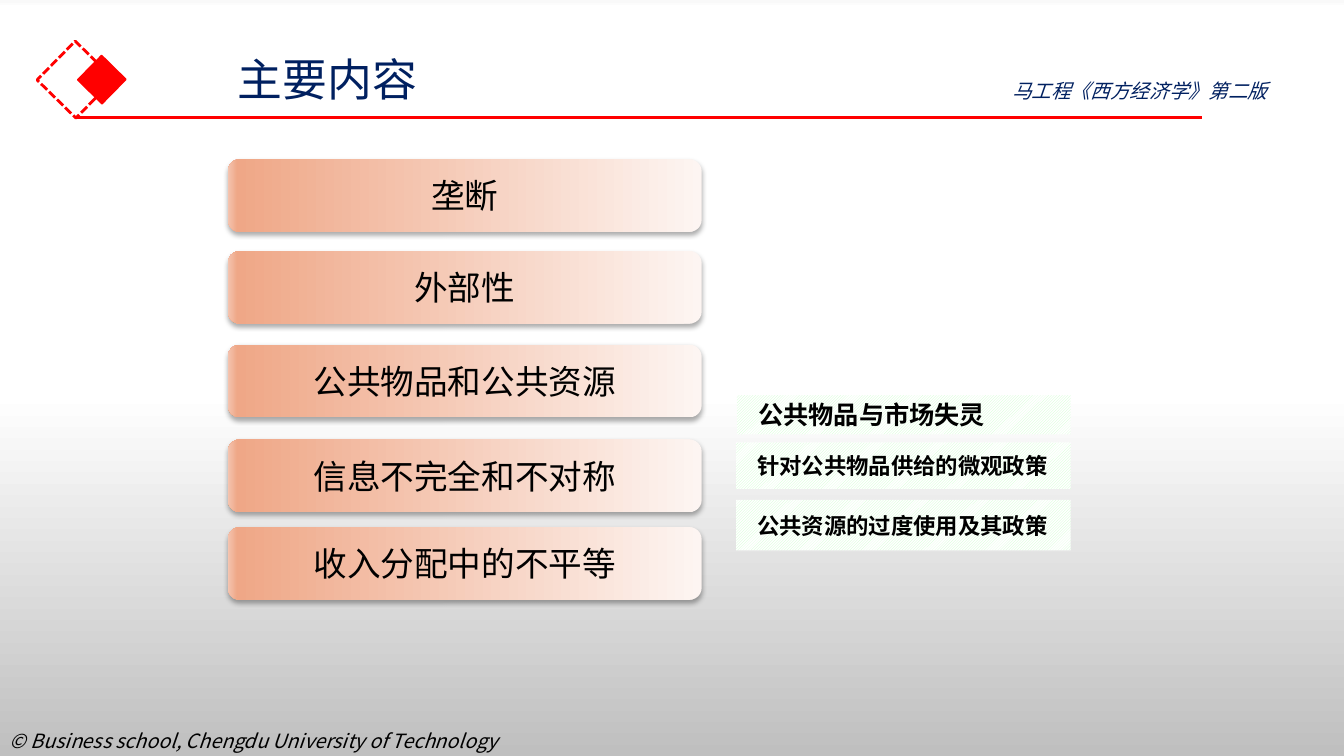
"""Builds the contents slide of the market failure chapter."""
from lxml import etree
from pptx import Presentation
from pptx import util as u
from pptx.dml.color import RGBColor
from pptx.enum import dml, shapes, text
from pptx.oxml import parse_xml
from pptx.oxml.ns import nsdecls, qn

SANS = "Noto Sans CJK SC"
NS = nsdecls("a")


def shade(root, stops):
    """Give the gradient inside root its stops."""
    old = next(root.iter(qn("a:gsLst")))
    marks = "".join(
        f'<a:gs pos="{pos * 1000}"><a:srgbClr val="{hue}"/></a:gs>' for pos, hue in stops)
    old.getparent().replace(old, parse_xml(f"<a:gsLst {NS}>{marks}</a:gsLst>"))


def write(shape, words, size, hue="000000", face=SANS, bold=False, slant=False, align=None):
    """Put one paragraph of text in a shape."""
    frame = shape.text_frame
    frame.word_wrap = True
    para = frame.paragraphs[0]
    para.text = words
    para.alignment = align
    font = para.font
    font.name, font.size, font.bold, font.italic = face, u.Pt(size), bold, slant
    font.color.rgb = RGBColor.from_string(hue)
    etree.SubElement(para._p.pPr.find(qn("a:defRPr")), qn("a:ea"), typeface=SANS)


deck = Presentation()
deck.slide_width, deck.slide_height = u.Inches(13.33), u.Inches(7.5)
slide = deck.slides.add_slide(deck.slide_layouts[6])
back = slide.background.fill
back.gradient()
back.gradient_angle = 270
shade(slide._element, [(0, "F9F9F9"), (1, "FFFFFF"), (52, "FFFFFF"), (100, "BFBFBF")])
red = RGBColor.from_string("FF0000")

for left, top, side, width, solid in [(0.48, 0.52, 0.54, 2, False), (0.84, 0.62, 0.34, 1, True)]:
    gem = slide.shapes.add_shape(shapes.MSO_SHAPE.RECTANGLE, u.Inches(left), u.Inches(top),
                                 u.Inches(side), u.Inches(side))
    gem.rotation = 314.5
    gem.shadow.inherit = False
    gem.line.color.rgb = red
    gem.line.width = u.Pt(width)
    if solid:
        gem.fill.solid()
        gem.fill.fore_color.rgb = red
    else:
        gem.fill.background()
        gem.line.dash_style = dml.MSO_LINE.SQUARE_DOT

rule = slide.shapes.add_connector(shapes.MSO_CONNECTOR.STRAIGHT, u.Inches(0.75), u.Inches(1.17),
                                  u.Inches(11.92), u.Inches(1.17))
rule.line.color.rgb = red
rule.line.width = u.Pt(2.25)
etree.SubElement(rule._element.spPr, qn("a:effectLst"))

for words, top in [("垄断", 1.58), ("外部性", 2.49), ("公共物品和公共资源", 3.42),
                   ("信息不完全和不对称", 4.36), ("收入分配中的不平等", 5.23)]:
    bar = slide.shapes.add_shape(shapes.MSO_SHAPE.ROUNDED_RECTANGLE, u.Inches(2.26),
                                 u.Inches(top), u.Inches(4.7), u.Inches(0.72))
    bar.fill.gradient()
    bar.fill.gradient_angle = 180
    shade(bar._element, [(0, "FDF5F2"), (98, "EFA787"), (100, "F4C4AF")])
    bar.line.fill.background()
    bar.shadow.inherit = False
    bar._element.spPr.find(qn("a:effectLst")).append(parse_xml(
        f'<a:outerShdw {NS} blurRad="{u.Pt(3.5)}" dist="{u.Pt(2.2)}" dir="5400000" '
        'rotWithShape="0"><a:srgbClr val="000000"><a:alpha val="32000"/></a:srgbClr>'
        '</a:outerShdw>'))
    write(bar, words, 24, align=text.PP_ALIGN.CENTER)

for words, left, top, width, height, size in [
        ("公共物品与市场失灵", 7.31, 3.92, 3.31, 0.39, 18),
        ("针对公共物品供给的微观政策", 7.3, 4.39, 3.32, 0.46, 16),
        ("公共资源的过度使用及其政策", 7.3, 4.96, 3.32, 0.5, 16)]:
    topic = slide.shapes.add_shape(shapes.MSO_SHAPE.RECTANGLE, u.Inches(left), u.Inches(top),
                                   u.Inches(width), u.Inches(height))
    topic.fill.patterned()
    topic.fill.pattern = dml.MSO_PATTERN.LIGHT_UPWARD_DIAGONAL
    topic.fill.fore_color.rgb = RGBColor.from_string("CCFFCC")
    topic.fill.back_color.rgb = RGBColor.from_string("FFFFFF")
    topic.line.fill.background()
    topic.shadow.inherit = False
    frame = topic.text_frame
    frame.margin_left, frame.margin_right = u.Inches(0.21), u.Inches(0.1)
    write(topic, words, size, face="Calibri", bold=True, align=text.PP_ALIGN.JUSTIFY)

for words, left, top, width, height, size, hue, slant in [
        ("主要内容", 2.26, 0.46, 5.44, 0.64, 32, "002060", False),
        ("马工程《西方经济学》第二版", 9.94, 0.73, 3.24, 0.34, 14, "002060", True),
        ("© Business school, Chengdu University of Technology",
         0, 7.18, 6.67, 0.64, 14, "000000", True)]:
    box = slide.shapes.add_textbox(u.Inches(left), u.Inches(top), u.Inches(width),
                                   u.Inches(height))
    write(box, words, size, hue, slant=slant)
    box.text_frame.auto_size = text.MSO_AUTO_SIZE.SHAPE_TO_FIT_TEXT

deck.save("out.pptx")
